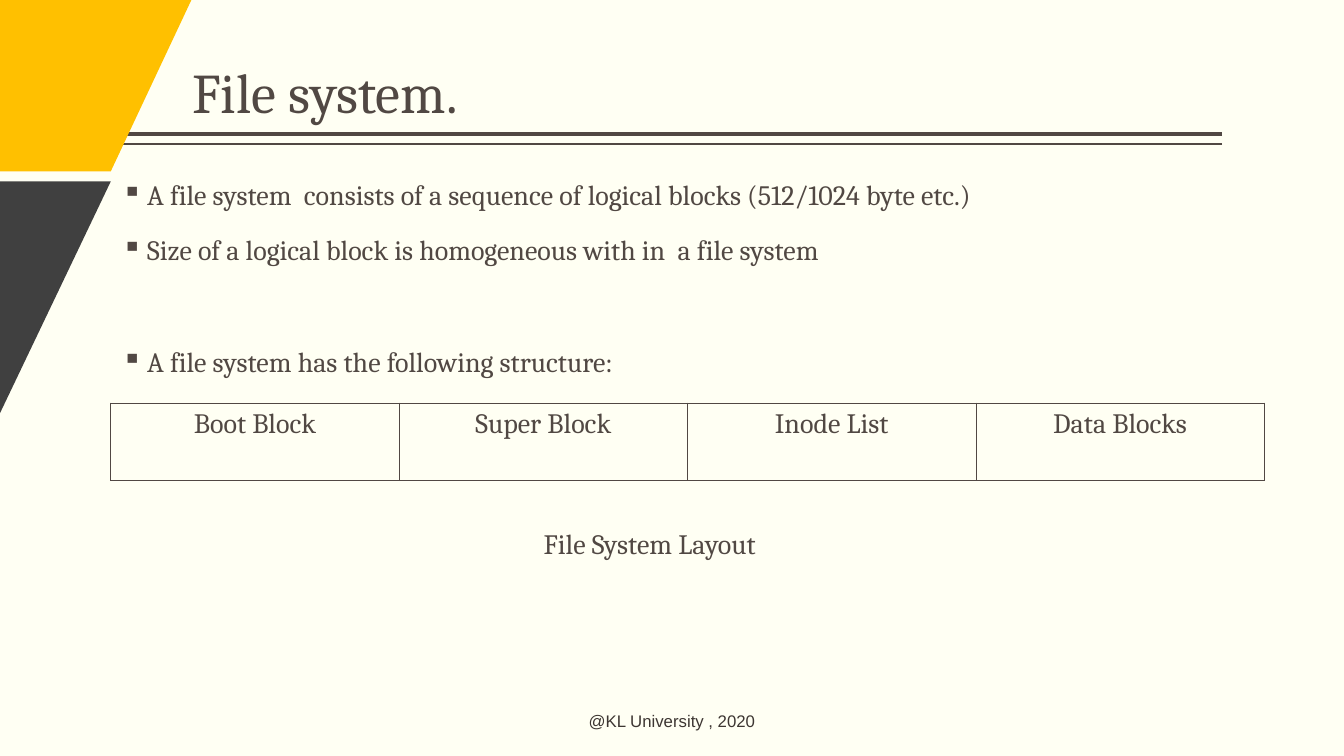
from lxml import etree
from pptx import Presentation, util as u
from pptx.dml.color import RGBColor
from pptx.enum import shapes, text
from pptx.oxml.ns import qn

COLORS = {"paper": "FFFFF3", "ink": "514843", "gold": "FFC000",
          "charcoal": "404040", "footer": "3D3632"}
RGB = {name: RGBColor.from_string(value) for name, value in COLORS.items()}
CELL = u.Inches(0.1)  # the slide is a grid of 133.4 columns by 75 rows


def grid(*counts):
    return [round(count * CELL) for count in counts]


def write(frame, lines, size, color="ink", font="Cambria", align=text.PP_ALIGN.LEFT,
          anchor=text.MSO_ANCHOR.TOP, side=0, spacing=1.0, gaps=(0,), bullet=None):
    layout = {"word_wrap": True, "vertical_anchor": anchor, "margin_left": u.Inches(side),
              "margin_right": u.Inches(side), "margin_top": u.Inches(0.05),
              "margin_bottom": u.Inches(0.05)}
    for key, value in layout.items():
        setattr(frame, key, value)
    for index, (line, gap) in enumerate(zip(lines, gaps)):
        paragraph = frame.paragraphs[0] if index == 0 else frame.add_paragraph()
        paragraph.text = line
        paragraph.alignment, paragraph.line_spacing = align, spacing
        paragraph.space_before = u.Pt(gap)
        if bullet:
            properties = paragraph._p.get_or_add_pPr()
            properties.set("marL", str(u.Inches(0.25)))
            properties.set("indent", str(-u.Inches(0.25)))
            bullet_color = etree.SubElement(properties, qn("a:buClr"))
            etree.SubElement(bullet_color, qn("a:srgbClr"), val=COLORS[color])
            etree.SubElement(properties, qn("a:buChar"), char=bullet)
        run_font = paragraph.runs[0].font
        run_font.name, run_font.size = font, u.Pt(size)
        run_font.color.rgb = RGB[color]


deck = Presentation()
deck.slide_width, deck.slide_height = grid(133.4, 75)
slide = deck.slides.add_slide(deck.slide_layouts[6])
slide.background.fill.solid()
slide.background.fill.fore_color.rgb = RGB["paper"]

# Double rule under the title
for row, weight in ((13.3, 3), (14.3, 1)):
    rule = slide.shapes.add_connector(shapes.MSO_CONNECTOR.STRAIGHT,
                                      *grid(121.3, row, 12.1, row))
    rule.line.color.rgb, rule.line.width = RGB["ink"], u.Pt(weight)
    etree.SubElement(rule._element.spPr, qn("a:effectLst"))

# Slanted corner shapes
corners = {"gold": [(0, 0), (19.3, 0), (11.4, 17), (0, 17)],
           "charcoal": [(0, 18.5), (10.6, 18.5), (0, 41.4)]}
for color, points in corners.items():
    builder = slide.shapes.build_freeform(*points[0], scale=CELL)
    builder.add_line_segments(points[1:], close=True)
    corner = builder.convert_to_shape()
    corner.shadow.inherit = False
    corner.fill.solid()
    corner.fill.fore_color.rgb = RGB[color]
    corner.line.fill.background()

# Title, bullets, caption and footer
center = {"align": text.PP_ALIGN.CENTER}
middle = {"anchor": text.MSO_ANCHOR.MIDDLE}
blocks = [
    ((19.1, 0, 102.5, 13), ["File system."], 40,
     {"anchor": text.MSO_ANCHOR.BOTTOM, "spacing": 0.9}),
    ((12.1, 17.5, 109.2, 50),
     ["A file system  consists of a sequence of logical blocks (512/1024 byte etc.)",
      "Size of a logical block is homogeneous with in  a file system",
      "A file system has the following structure:"], 20,
     {"spacing": 0.9, "gaps": (0, 18, 58), "bullet": "▪"}),
    ((25.6, 51.7, 77.8, 4.4), ["File System Layout"], 20, {"side": 0.1, **center}),
    ((32.1, 69.5, 69.2, 4), ["@KL University , 2020"], 12,
     {"color": "footer", "font": "Arial", **center, **middle}),
]
for place, lines, size, style in blocks:
    write(slide.shapes.add_textbox(*grid(*place)).text_frame, lines, size, **style)

# Layout table: one row of blocks
sections = ["Boot Block", "Super Block", "Inode List", "Data Blocks"]
layout_table = slide.shapes.add_table(1, len(sections), *grid(11, 40, 114.5, 7.7)).table
layout_table.first_row = layout_table.horz_banding = False
for index, section in enumerate(sections):
    cell = layout_table.cell(0, index)
    write(cell.text_frame, [section], 20, **center)
    cell.margin_left = cell.margin_right = u.Inches(0.13)
    cell.margin_top = cell.margin_bottom = u.Inches(0.05)
    outer_left, outer_right = index == 0, index == len(sections) - 1
    edges = {"a:lnL": 1.08 if outer_left else 0.45,
             "a:lnR": 1.08 if outer_right else 0.45,
             "a:lnT": 1.08, "a:lnB": 1.08}
    cell_properties = cell._tc.get_or_add_tcPr()
    for tag, weight in edges.items():
        edge = etree.SubElement(cell_properties, qn(tag), w=str(u.Pt(weight)))
        edge_fill = etree.SubElement(edge, qn("a:solidFill"))
        etree.SubElement(edge_fill, qn("a:srgbClr"), val=COLORS["ink"])
    cell.fill.background()

deck.save("out.pptx")
